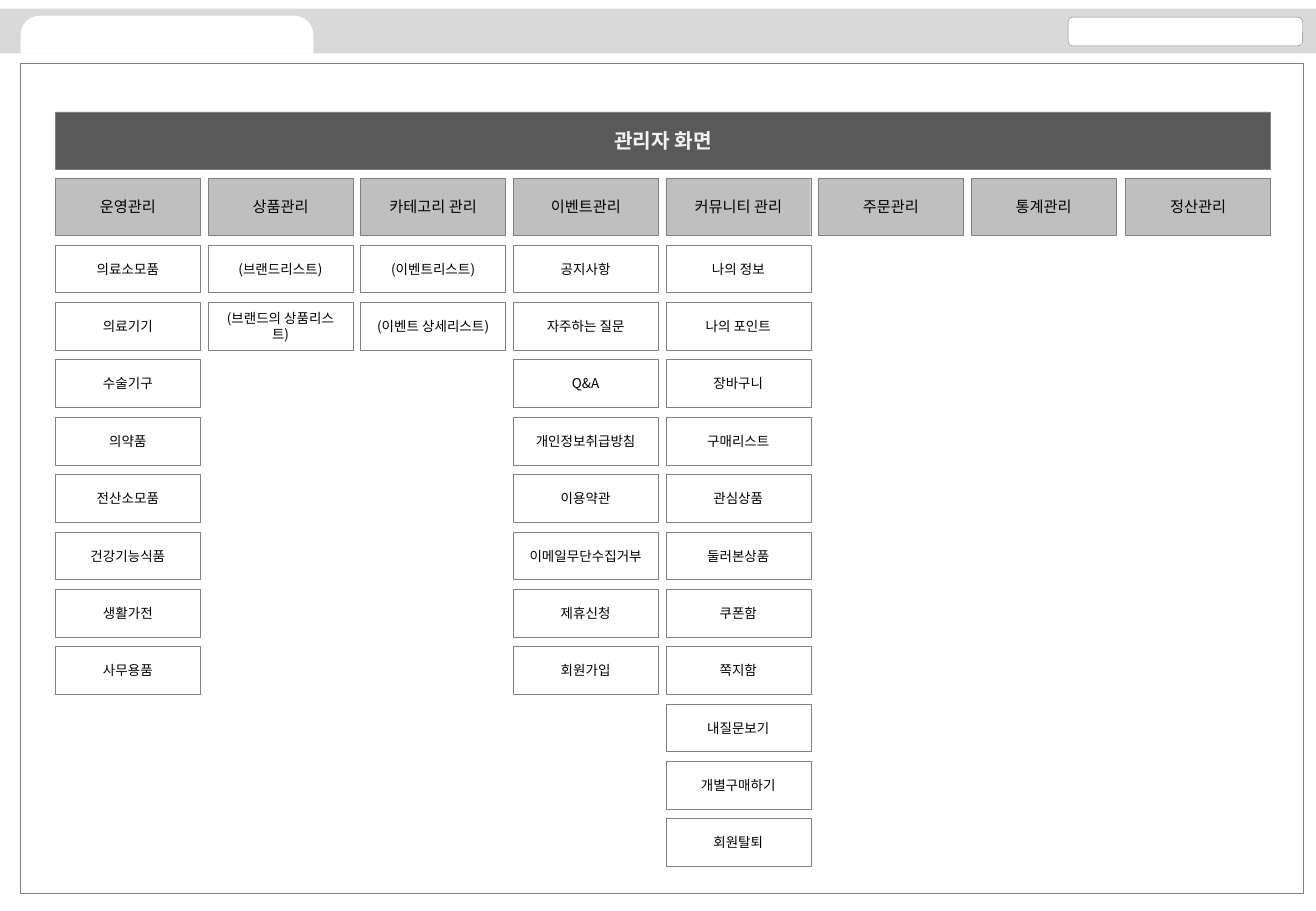
from dataclasses import dataclass

from pptx import Presentation
from pptx import util as u
from pptx.dml.color import RGBColor
from pptx.enum import shapes, text
from pptx.oxml.ns import qn


@dataclass(frozen=True)
class Theme:
    """Colours, font and type sizes of the slide."""
    font: str = "Noto Sans CJK KR"
    band: str = "D9D9D9"
    white: str = "FFFFFF"
    line: str = "808080"
    dark: str = "595959"
    head: str = "BFBFBF"
    pale: str = "F2F2F2"
    ink: str = "000000"
    title_size: int = 12
    head_size: int = 9
    item_size: int = 8


T = Theme()
KIND = shapes.MSO_SHAPE
GAP = 0.2
BAR_H, ITEM_H = 1.19, 1.0
COL_W, COL_STEP = 3.03, 3.19

MENU = [
    ("운영관리", ["의료소모품", "의료기기", "수술기구", "의약품",
              "전산소모품", "건강기능식품", "생활가전", "사무용품"]),
    ("상품관리", ["(브랜드리스트)", "(브랜드의 상품리스트)"]),
    ("카테고리 관리", ["(이벤트리스트)", "(이벤트 상세리스트)"]),
    ("이벤트관리", ["공지사항", "자주하는 질문", "Q&A", "개인정보취급방침",
               "이용약관", "이메일무단수집거부", "제휴신청", "회원가입"]),
    ("커뮤니티 관리", ["나의 정보", "나의 포인트", "장바구니", "구매리스트",
                 "관심상품", "둘러본상품", "쿠폰함", "쪽지함",
                 "내질문보기", "개별구매하기", "회원탈퇴"]),
    ("주문관리", []),
    ("통계관리", []),
    ("정산관리", []),
]


def paint(shape, fill=None, line=None):
    """Set fill and outline; None means there is none."""
    if fill:
        shape.fill.solid()
        shape.fill.fore_color.rgb = RGBColor.from_string(fill)
    else:
        shape.fill.background()
    if line:
        shape.line.color.rgb = RGBColor.from_string(line)
        shape.line.width = u.Pt(0.25)
    else:
        shape.line.fill.background()


def write(shape, words, size, color, bold=False):
    """Put one centred paragraph in the shape."""
    frame = shape.text_frame
    frame.text = words
    frame.word_wrap = True
    frame.auto_size = text.MSO_AUTO_SIZE.NONE
    frame.vertical_anchor = text.MSO_ANCHOR.MIDDLE
    para = frame.paragraphs[0]
    para.alignment = text.PP_ALIGN.CENTER
    font = para.font
    font.size, font.bold, font.name = u.Pt(size), bold, T.font
    font.color.rgb = RGBColor.from_string(color)
    props = para._p.pPr.find(qn("a:defRPr"))
    east = props.makeelement(qn("a:ea"), {"typeface": T.font})
    props.find(qn("a:latin")).addnext(east)


def block(slide, box, fill=None, line=None, kind=KIND.RECTANGLE):
    """Add a flat shape in the box, given in centimetres."""
    shape = slide.shapes.add_shape(kind, *map(u.Cm, box))
    shape.shadow.inherit = False
    paint(shape, fill, line)
    return shape


def header(slide, box):
    """Draw the grey band with its tab and search field."""
    x, y, w, h = box
    block(slide, box, T.band)
    tab = block(slide, (x + 0.43, y + 0.15, 6.12, h - 0.15), T.white,
                kind=KIND.ROUND_2_SAME_RECTANGLE)
    tab.adjustments[0] = 0.5
    block(slide, (x + w - 5.18, y + 0.18, 4.9, 0.6), T.white, T.line,
          KIND.ROUNDED_RECTANGLE)


def title(slide, box, words):
    """Shape the title placeholder as a dark bar."""
    bar = slide.shapes.title
    bar.left, bar.top, bar.width, bar.height = map(u.Cm, box)
    paint(bar, T.dark, T.line)
    write(bar, words, T.title_size, T.pale, True)


def column(slide, box, head, items):
    """Draw a menu heading with its items stacked below."""
    x, y, w, h = box
    top = block(slide, (x, y, w, h), T.head, T.line)
    write(top, head, T.head_size, T.ink)
    for row, item in enumerate(items):
        place = y + h + GAP + row * (ITEM_H + GAP)
        cell = block(slide, (x, place, w, ITEM_H), line=T.line)
        write(cell, item, T.item_size, T.ink)


def sitemap(slide, box):
    """Draw the frame, title bar and menu columns."""
    x, y, w, h = box
    block(slide, box, line=T.line)
    left, top, wide = x + 0.73, y + 1.02, 25.4
    title(slide, (left, top, wide, BAR_H), "관리자 화면")
    last = len(MENU) - 1
    for i, (head, items) in enumerate(MENU):
        # The last column ends flush with the title bar.
        shift = wide - COL_W if i == last else i * COL_STEP
        spot = (left + shift, top + BAR_H + GAP, COL_W, BAR_H)
        column(slide, spot, head, items)


def main():
    """Build and save the slide."""
    deck = Presentation()
    deck.slide_width, deck.slide_height = u.Cm(27.51), u.Cm(19.05)
    slide = deck.slides.add_slide(deck.slide_layouts.get_by_name("Title Only"))
    header(slide, (0, 0.18, 27.51, 0.94))
    sitemap(slide, (0.43, 1.32, 26.82, 17.37))
    deck.save("out.pptx")


main()
